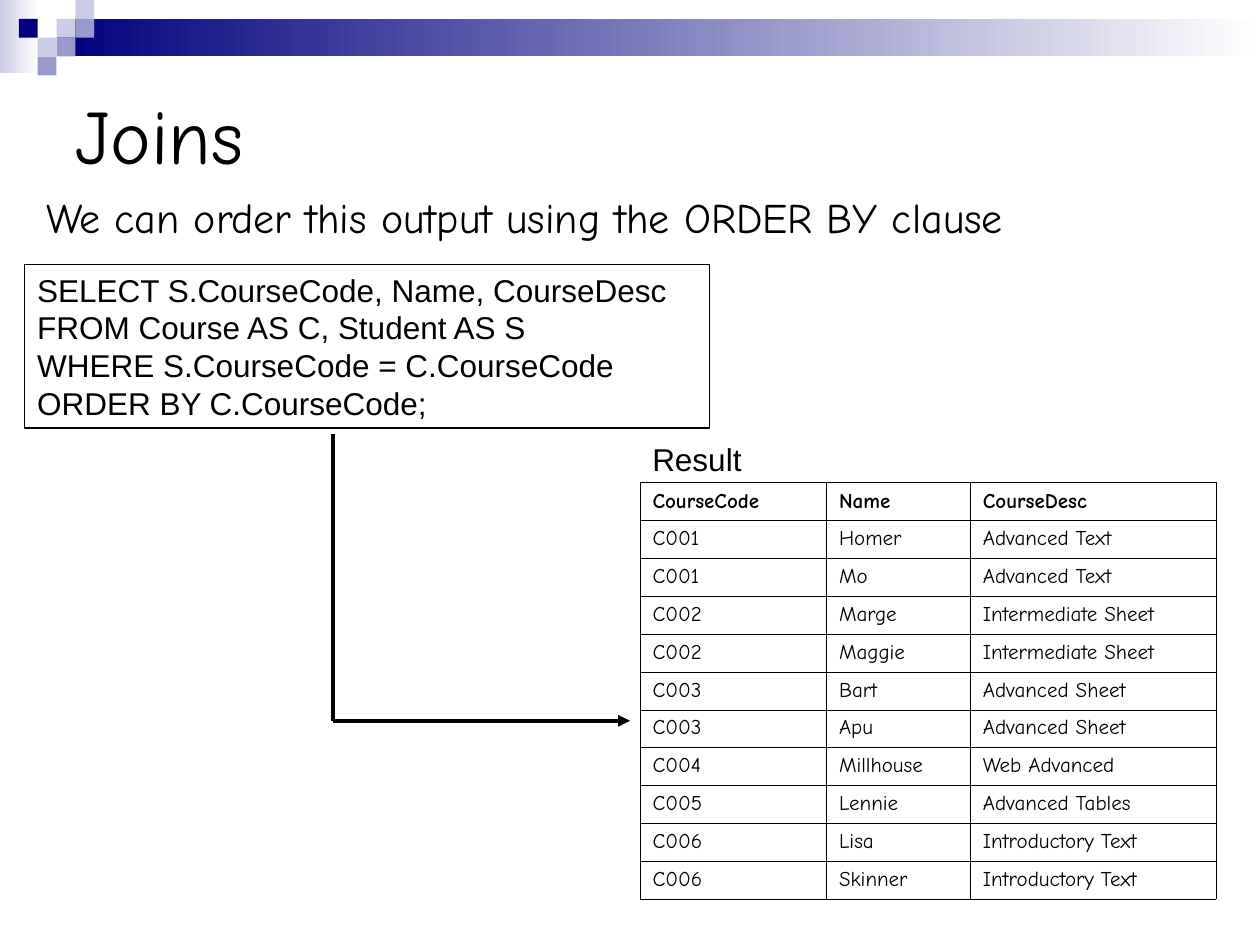
from lxml import etree
from pptx import Presentation
from pptx import util as u
from pptx.dml import color
from pptx.enum import shapes, text
from pptx.oxml import ns

BLACK, WHITE, NAVY, LAVENDER, PERIWINKLE = "000000", "FFFFFF", "00007D", "CCCCE6", "9999CC"
HAND, SANS = "Comic Neue", "Arial"

TITLE = "Joins"
INTRO = "We can order this output using the ORDER BY clause"
QUERY = [
    "SELECT S.CourseCode, Name, CourseDesc",
    "FROM Course AS C, Student AS S",
    "WHERE S.CourseCode = C.CourseCode",
    "ORDER BY C.CourseCode;",
]
RESULT_LABEL = "Result"
RESULT = [
    ("CourseCode", "Name", "CourseDesc"),
    ("C001", "Homer", "Advanced Text"),
    ("C001", "Mo", "Advanced Text"),
    ("C002", "Marge", "Intermediate Sheet"),
    ("C002", "Maggie", "Intermediate Sheet"),
    ("C003", "Bart", "Advanced Sheet"),
    ("C003", "Apu", "Advanced Sheet"),
    ("C004", "Millhouse", "Web Advanced"),
    ("C005", "Lennie", "Advanced Tables"),
    ("C006", "Lisa", "Introductory Text"),
    ("C006", "Skinner", "Introductory Text"),
]
COLUMN_WIDTHS = [3.76, 2.9, 4.95]
ROW_HEIGHT = 0.76

SQUARE = 0.38
BANDS = [
    ((0, 0, 0.79, 1.47), LAVENDER),
    ((3 * SQUARE, SQUARE, 25.4 - 3 * SQUARE, 2 * SQUARE), NAVY),
]
SQUARES = [
    (3, 1, LAVENDER), (4, 0, LAVENDER), (4, 1, PERIWINKLE), (2, 2, LAVENDER),
    (1, 1, NAVY), (3, 2, PERIWINKLE), (2, 3, PERIWINKLE),
]
ARROW_X, ARROW_TOP, ARROW_Y, ARROW_END = 6.71, 8.74, 14.53, 12.7


def rgb(value):
    return color.RGBColor.from_string(value)


def lengths(values):
    return [u.Cm(value) for value in values]


def write(frame, lines, name, size, bold=False, space_before=0):
    frame.word_wrap = True
    frame.text = "\n".join(lines)
    formats = {"name": name, "size": u.Pt(size), "bold": bold}
    for paragraph in frame.paragraphs:
        paragraph.alignment = text.PP_ALIGN.LEFT
        paragraph.space_before = u.Pt(space_before)
        for key, value in formats.items():
            setattr(paragraph.font, key, value)
        paragraph.font.color.rgb = rgb(BLACK)


def add_text(slide, box, lines, name, size):
    shape = slide.shapes.add_textbox(*lengths(box))
    write(shape.text_frame, lines, name, size)
    return shape


def add_rectangle(slide, box):
    shape = slide.shapes.add_shape(shapes.MSO_SHAPE.RECTANGLE, *lengths(box))
    shape.shadow.inherit = False
    shape.line.fill.background()
    return shape


def add_line(slide, ends, arrow=False):
    line = slide.shapes.add_connector(shapes.MSO_CONNECTOR.STRAIGHT, *lengths(ends))
    line.line.color.rgb = rgb(BLACK)
    line.line.width = u.Pt(2.25)
    if arrow:
        etree.SubElement(line.line._get_or_add_ln(), ns.qn("a:tailEnd"), type="triangle")
    etree.SubElement(line._element.spPr, ns.qn("a:effectLst"))


def add_borders(cell):
    properties = cell._tc.get_or_add_tcPr()
    for position, side in enumerate(("lnL", "lnR", "lnT", "lnB")):
        border = etree.Element(ns.qn(f"a:{side}"), w=str(u.Pt(0.34)))
        fill = etree.SubElement(border, ns.qn("a:solidFill"))
        etree.SubElement(fill, ns.qn("a:srgbClr"), val=BLACK)
        properties.insert(position, border)


def add_decoration(slide):
    for box, start in BANDS:
        fill = add_rectangle(slide, box).fill
        fill.gradient()
        fill.gradient_angle = 0
        for stop, value in zip(fill.gradient_stops, (start, WHITE)):
            stop.color.rgb = rgb(value)
    for column, row, value in SQUARES:
        fill = add_rectangle(slide, (column * SQUARE, row * SQUARE, SQUARE, SQUARE)).fill
        fill.solid()
        fill.fore_color.rgb = rgb(value)


def add_result(slide):
    box = (12.9, 9.73, sum(COLUMN_WIDTHS), ROW_HEIGHT * len(RESULT))
    table = slide.shapes.add_table(len(RESULT), len(COLUMN_WIDTHS), *lengths(box)).table
    table.horz_banding = False
    for column, width in zip(table.columns, COLUMN_WIDTHS):
        column.width = u.Cm(width)
    for row_index, values in enumerate(RESULT):
        header = row_index == 0
        table.rows[row_index].height = u.Cm(ROW_HEIGHT)
        for column_index, value in enumerate(values):
            cell = table.cell(row_index, column_index)
            write(cell.text_frame, [value], HAND, 12, bold=header)
            cell.vertical_anchor = text.MSO_ANCHOR.MIDDLE if header else text.MSO_ANCHOR.TOP
            cell.fill.solid()
            cell.fill.fore_color.rgb = rgb(WHITE)
            add_borders(cell)


def main():
    presentation = Presentation()
    presentation.slide_width, presentation.slide_height = lengths((25.4, 19.05))
    slide = presentation.slides.add_slide(presentation.slide_layouts[5])
    add_decoration(slide)

    title = slide.shapes.title
    title.left, title.top, title.width, title.height = lengths((1.27, 1.27, 22.86, 2.86))
    write(title.text_frame, [TITLE], HAND, 44)
    title.text_frame.vertical_anchor = text.MSO_ANCHOR.MIDDLE

    query = add_text(slide, (0.5, 5.33, 13.8, 3.3), QUERY, SANS, 18)
    query.line.color.rgb = rgb(BLACK)
    query.line.width = u.Pt(0.75)
    add_line(slide, (ARROW_X, ARROW_TOP, ARROW_X, ARROW_Y))
    add_text(slide, (12.9, 8.74, 5.4, 1.02), [RESULT_LABEL], SANS, 18)
    add_result(slide)
    add_text(slide, (0.68, 3.73, 24, 1.28), [INTRO], HAND, 24)
    add_line(slide, (ARROW_X, ARROW_Y, ARROW_END, ARROW_Y), arrow=True)
    presentation.save("out.pptx")


if __name__ == "__main__":
    main()
